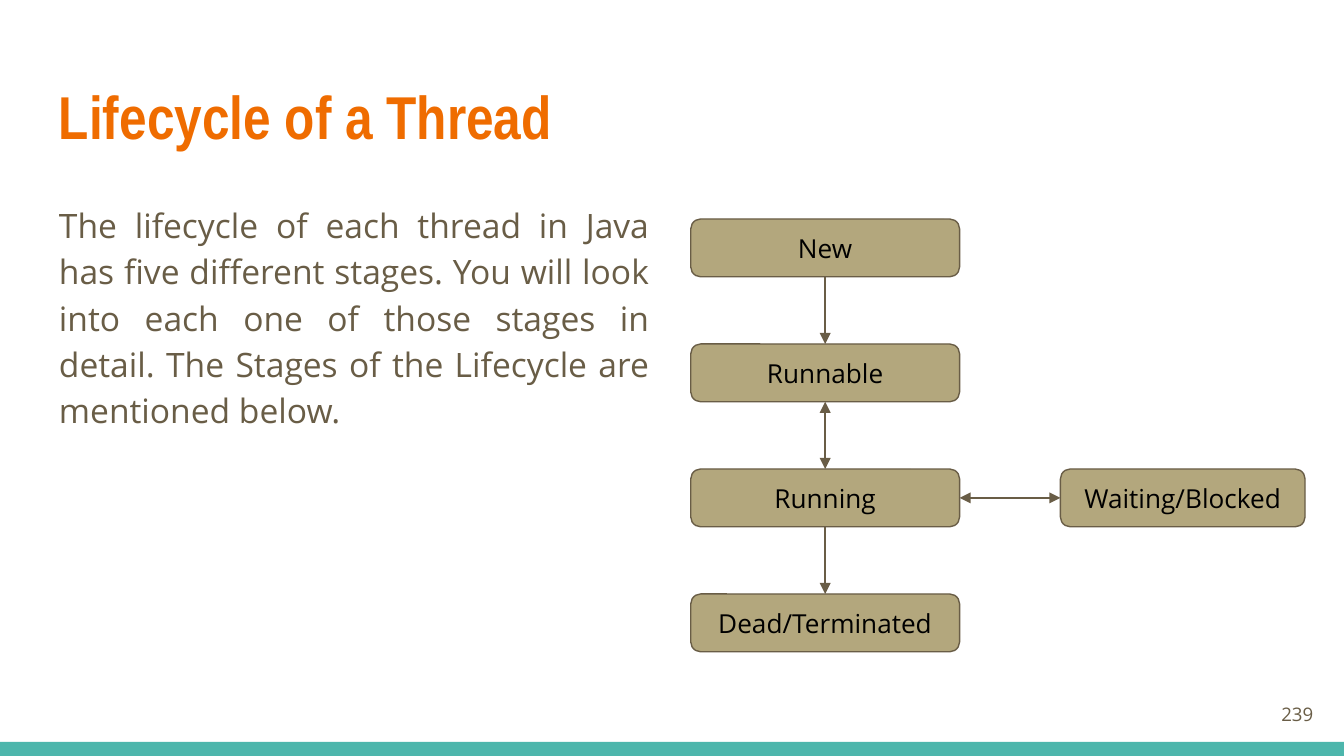
import pptx
import pptx.util
import pptx.dml.color
import pptx.enum.shapes
import pptx.enum.text
import pptx.oxml
import pptx.oxml.ns

Inches = pptx.util.Inches
Pt = pptx.util.Pt
Align = pptx.enum.text.PP_ALIGN
Anchor = pptx.enum.text.MSO_ANCHOR
Preset = pptx.enum.shapes.MSO_SHAPE

TITLE = "Lifecycle of a Thread"
INTRO = (
    "The lifecycle of each thread in Java has five different stages. "
    "You will look into each one of those stages in detail. "
    "The Stages of the Lifecycle are mentioned below."
)
PAGE = "239"
STAGES = [
    ("New", 0, 0),
    ("Runnable", 0, 1),
    ("Running", 0, 2),
    ("Dead/Terminated", 0, 3),
    ("Waiting/Blocked", 1, 2),
]
TRANSITIONS = [
    ("Running", "Waiting/Blocked", True),
    ("New", "Runnable", False),
    ("Runnable", "Running", True),
    ("Running", "Dead/Terminated", False),
]

COLORS = {
    "bar": "4DB6AC",
    "title": "EF6C00",
    "text": "695D46",
    "stage": "B3A77D",
    "label": "000000",
}
BODY_FONT = "Open Sans"
WIDTH = 10
HEIGHT = WIDTH * 9 / 16
MARGIN = 0.34
BAR_TOP = 5.52
COLUMNS = [(5.14, 2), (7.89, 1.82)]
FIRST_ROW, ROW_STEP, STAGE_HEIGHT = 1.63, 0.93, 0.43


def color(name):
    return pptx.dml.color.RGBColor.from_string(COLORS[name])


def write(box, text, size, ink, font=BODY_FONT, bold=False,
          align=Align.LEFT, anchor=Anchor.TOP):
    frame = box.text_frame
    frame.word_wrap = True
    frame.vertical_anchor = anchor
    frame.margin_left = frame.margin_right = Inches(0.1)
    frame.margin_top = frame.margin_bottom = Inches(0.1)
    paragraph = frame.paragraphs[0]
    paragraph.alignment = align
    run = paragraph.add_run()
    run.text = text
    run.font.size = Pt(size)
    run.font.name = font
    run.font.bold = bold
    run.font.color.rgb = color(ink)
    return paragraph


def add_box(shapes, preset, place, fill):
    box = shapes.add_shape(preset, *map(Inches, place))
    box.shadow.inherit = False
    box.fill.solid()
    box.fill.fore_color.rgb = color(fill)
    return box


def add_arrow(shapes, start, end, both_ways, sides):
    arrow = shapes.add_connector(
        pptx.enum.shapes.MSO_CONNECTOR.STRAIGHT, 0, 0, 0, 0)
    arrow.begin_connect(start, sides[0])
    arrow.end_connect(end, sides[1])
    arrow.line.color.rgb = color("text")
    arrow.line.width = Pt(0.75)
    line = arrow._element.spPr.find(pptx.oxml.ns.qn("a:ln"))
    namespace = pptx.oxml.ns.nsdecls("a")
    for tag in ["a:headEnd", "a:tailEnd"] if both_ways else ["a:tailEnd"]:
        line.append(pptx.oxml.parse_xml(f'<{tag} {namespace} type="triangle"/>'))
    arrow._element.spPr.append(pptx.oxml.parse_xml(f"<a:effectLst {namespace}/>"))


deck = pptx.Presentation()
deck.slide_width, deck.slide_height = Inches(WIDTH), Inches(HEIGHT)
slide = deck.slides.add_slide(deck.slide_layouts[6])

bar = add_box(slide.shapes, Preset.RECTANGLE,
              (0, BAR_TOP, WIDTH, HEIGHT - BAR_TOP), "bar")
bar.line.fill.background()

title = slide.shapes.add_textbox(
    *map(Inches, (MARGIN, 0.49, WIDTH - 2 * MARGIN, 0.77)))
write(title, TITLE, 32.4, "title", "Arial Narrow", True)

intro = slide.shapes.add_textbox(*map(Inches, (MARGIN, 1.38, 4.59, 3.71)))
intro_paragraph = write(intro, INTRO, 18, "text", align=Align.JUSTIFY)
intro_paragraph.line_spacing = 1.15
intro_paragraph.space_after = Pt(12)

page = slide.shapes.add_textbox(*map(Inches, (9.27, 5.1, 0.6, 0.43)))
write(page, PAGE, 10, "text", align=Align.RIGHT, anchor=Anchor.MIDDLE)

lifecycle = slide.shapes.add_group_shape().shapes
stages = {}
for label, column, row in STAGES:
    left, width = COLUMNS[column]
    top = FIRST_ROW + row * ROW_STEP
    stage = add_box(lifecycle, Preset.ROUNDED_RECTANGLE,
                    (left, top, width, STAGE_HEIGHT), "stage")
    stage.adjustments[0] = 0.17
    stage.line.color.rgb = color("text")
    stage.line.width = Pt(0.75)
    write(stage, label, 14, "label", align=Align.CENTER, anchor=Anchor.MIDDLE)
    stages[label] = stage

for origin, target, both_ways in TRANSITIONS:
    start, end = stages[origin], stages[target]
    sides = (3, 1) if start.top == end.top else (2, 0)
    add_arrow(lifecycle, start, end, both_ways, sides)

deck.save("out.pptx")
